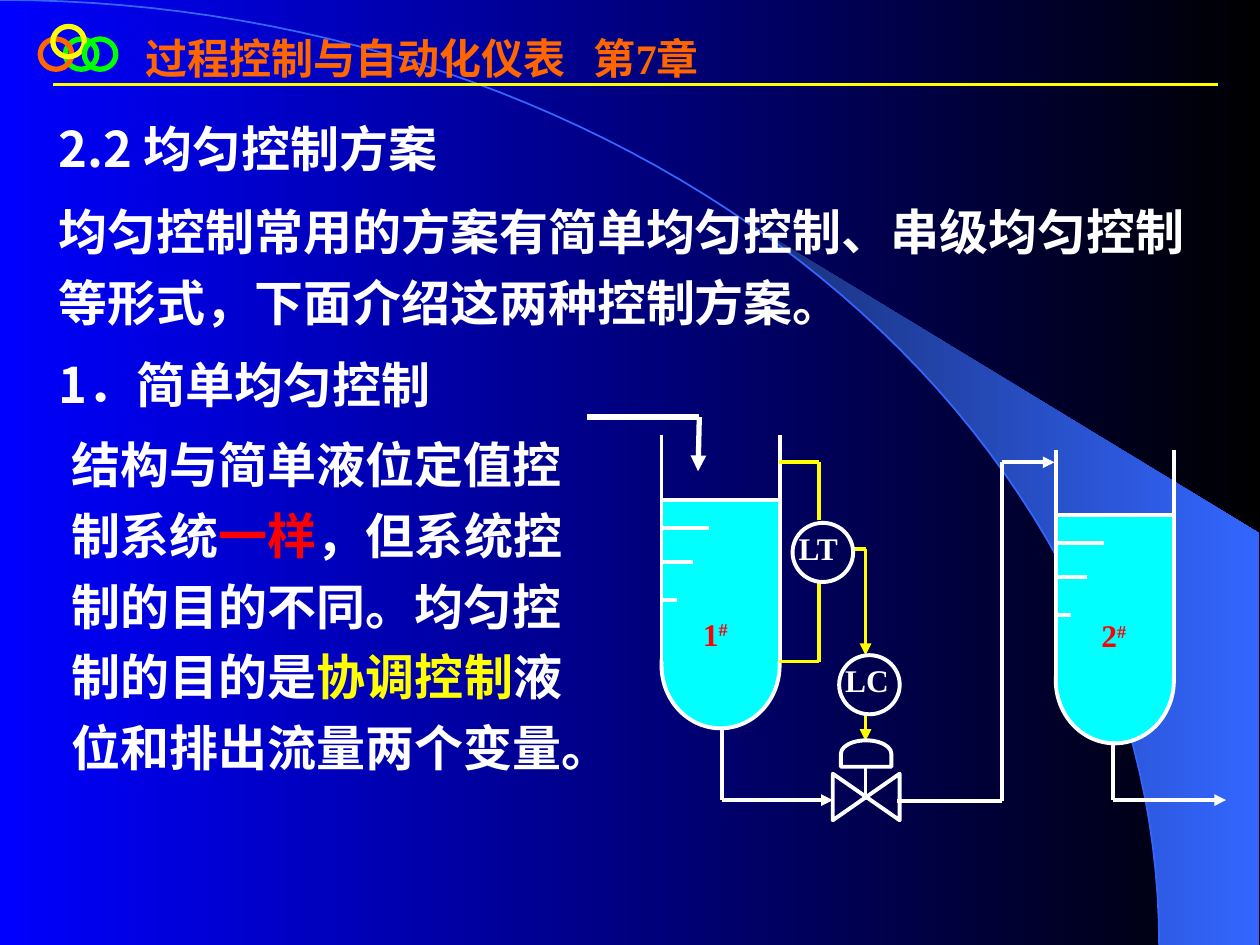
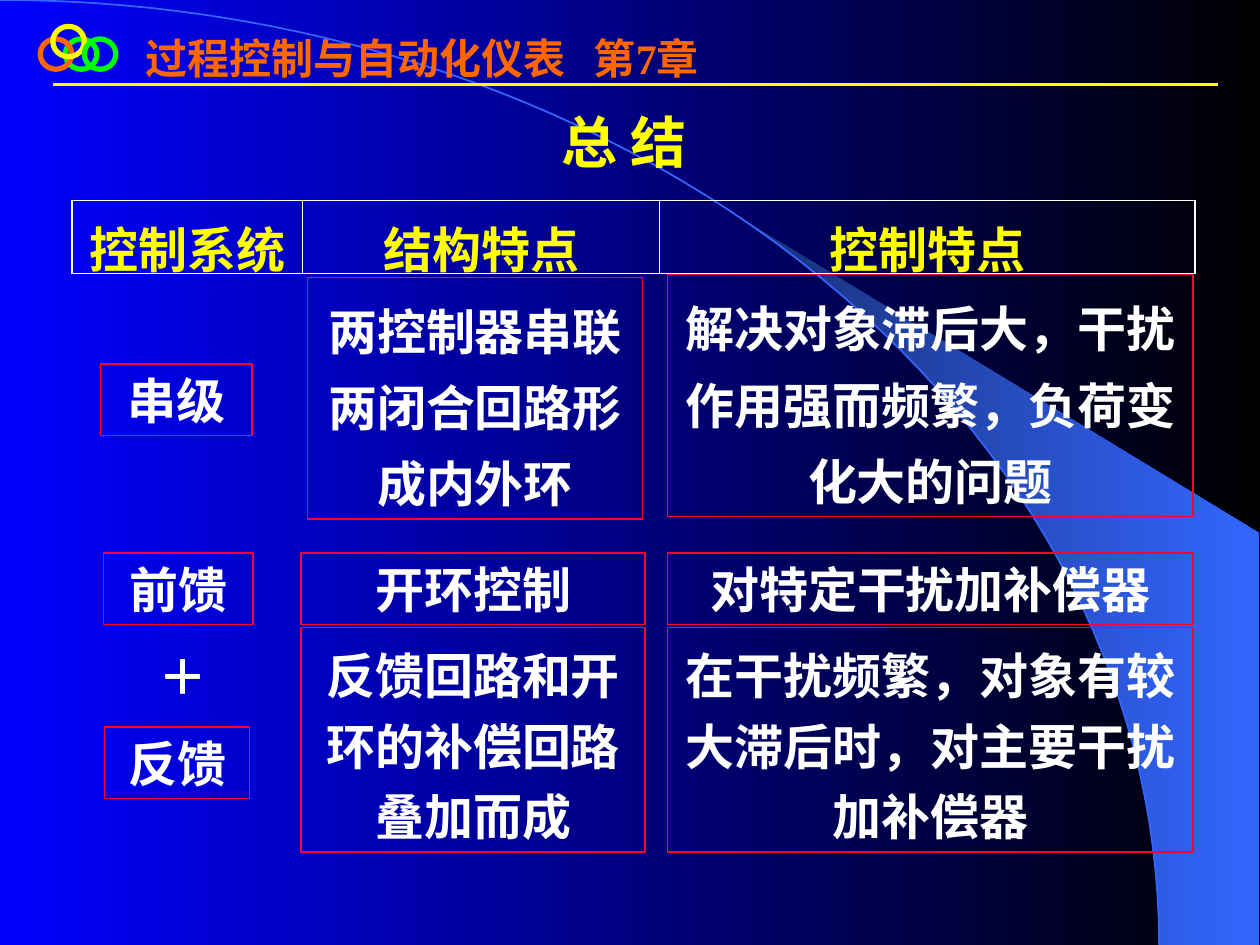
from math import asin, cos, pi, sin

from lxml.etree import SubElement
from pptx import Presentation
from pptx.dml.color import RGBColor as RGB
from pptx.enum.shapes import MSO_CONNECTOR as CONN, MSO_SHAPE as SHAPE
from pptx.enum.text import MSO_ANCHOR as ANCHOR, PP_ALIGN as ALIGN
from pptx.oxml.ns import qn
from pptx.util import Pt

C = {"blue": "0000FF", "black": "000000", "navy": "182F76", "sky": "3366FF",
     "white": "FFFFFF", "yellow": "FFFF00", "orange": "FF6600", "green": "00FF00",
     "red": "FF0000", "crimson": "FF0033", "cyan": "00FFFF"}
SERIF, SANS = "Times New Roman", "Noto Sans CJK SC"
W, H = 720, 540
BODY = {"size": Pt(28), "bold": True, "name": SERIF}
SMALL = {**BODY, "size": Pt(18)}
LOOSE = {"line_spacing": 1.2}
CENTER = {"alignment": ALIGN.CENTER}
JUSTIFY = {"alignment": ALIGN.JUSTIFY, **LOOSE}


def rgb(name):
    """Return the palette colour as an RGB value."""
    return RGB.from_string(C[name])


def apply(obj, values):
    """Set each attribute of obj from a dict."""
    for key, value in values.items():
        setattr(obj, key, value)


def add_run(p, text, font, color):
    """Append one formatted run to a paragraph."""
    r = p.add_run()
    r.text = text
    apply(r.font, font)
    r.font.color.rgb = rgb(color)
    SubElement(r.font._element, qn("a:ea")).set("typeface", SANS)
    return r


def add_text(s, box, text, font, color, fmt):
    """Add a wrapping text box with one paragraph and return its frame."""
    tf = s.shapes.add_textbox(*map(Pt, box)).text_frame
    tf.word_wrap = True
    p = tf.paragraphs[0]
    apply(p, fmt)
    add_run(p, text, font, color)
    return tf


def add_outline(s, kind, box, line="white", width=2.25, fill=None, rotation=0):
    """Add a preset shape with optional fill and outline."""
    sp = s.shapes.add_shape(kind, *map(Pt, box))
    sp.shadow.inherit = False
    sp.rotation = rotation
    if fill:
        sp.fill.solid()
        sp.fill.fore_color.rgb = rgb(fill)
    else:
        sp.fill.background()
    if line:
        sp.line.color.rgb = rgb(line)
        sp.line.width = Pt(width)
    else:
        sp.line.fill.background()
    return sp


def add_pipe(s, origin, points, color="white", width=2.25, arrow=False):
    """Join points with straight connectors, with an arrowhead at the end if asked."""
    ox, oy = origin
    for (x1, y1), (x2, y2) in zip(points, points[1:]):
        cx = s.shapes.add_connector(CONN.STRAIGHT, Pt(ox + x1), Pt(oy + y1),
                                    Pt(ox + x2), Pt(oy + y2))
        cx.line.color.rgb = rgb(color)
        cx.line.width = Pt(width)
        SubElement(cx._element.spPr, qn("a:effectLst"))
    if arrow:
        SubElement(cx.line._get_or_add_ln(), qn("a:tailEnd")).set("type", "triangle")


def set_gradient(fill, first, last):
    """Give a fill a two-colour gradient from left to right."""
    fill.gradient()
    fill.gradient_angle = 0
    for stop, name in zip(fill.gradient_stops, (first, last)):
        stop.color.rgb = rgb(name)


def add_freeform(s, points, close):
    """Add an outline through points."""
    pts = [(Pt(x), Pt(y)) for x, y in points]
    fb = s.shapes.build_freeform(*pts[0], scale=1.0)
    fb.add_line_segments(pts[1:], close=close)
    sp = fb.convert_to_shape()
    sp.shadow.inherit = False
    return sp


def add_backdrop(s, w, h):
    """Paint the gradient background, the lit wedge and the arc."""
    def arc(start, steps=60):
        angles = [start + (pi / 2 - start) * i / steps for i in range(steps + 1)]
        return [(0.92 * w * sin(a), h * (1 - cos(a))) for a in angles]

    set_gradient(s.background.fill, "blue", "black")
    wedge = add_freeform(s, arc(asin(0.64)) + [(w - 0.7, h), (w - 0.7, 304.6)], True)
    set_gradient(wedge.fill, "navy", "sky")
    wedge.line.fill.background()
    curve = add_freeform(s, arc(0), False)
    curve.fill.background()
    curve.line.color.rgb = rgb("sky")
    curve.line.width = Pt(1)


def add_header(s, x, y):
    """Add the rings, course title and rule."""
    add_pipe(s, (x, y), [(7.2, 33.1), (673.2, 33.1)], "yellow", 1.5)
    tf = add_text(s, (x + 53.3, y, 606.2, 36), "过程控制与自动化仪表\t第7章",
                  {**BODY, "size": Pt(24)}, "orange", {})
    tabs = SubElement(tf.paragraphs[0]._p.get_or_add_pPr(), qn("a:tabLst"))
    tab = SubElement(tabs, qn("a:tab"))
    tab.set("pos", str(Pt(256)))
    tab.set("algn", "l")
    for dx, dy, color in ((14.4, 7.2, "green"), (0, 7.2, "orange"),
                          (7.2, 0, "yellow"), (25.2, 7.2, "green")):
        add_outline(s, SHAPE.OVAL, (x + dx, y + dy, 18, 17.3), color, 3)


def new_slide(prs):
    """Add a blank slide with the shared backdrop and header."""
    s = prs.slides.add_slide(prs.slide_layouts[6])
    add_backdrop(s, W, H)
    add_header(s, 23, 15.1)
    return s


def add_tank(s, x, y, number, label_dx, label_dy):
    """Draw an open tank with liquid, level marks and its number."""
    w, level, wall = 67.5, 37.4, 130.3
    add_outline(s, SHAPE.OVAL, (x, y + 95.8, w, 72), fill="cyan")
    add_outline(s, SHAPE.RECTANGLE, (x - 0.7, y + level + 1, w + 0.7, 91.4), None, fill="cyan")
    for side in (0, w):
        add_pipe(s, (x, y), [(side, 0), (side, wall)])
    for drop, length in ((0, w), (15.8, 27.4), (35.3, 18), (56.9, 8.6)):
        add_pipe(s, (x, y + level + drop), [(0.7, 0), (length, 0)])
    tf = add_text(s, (x + label_dx, y + label_dy, 49, 45.4), number, SMALL, "red", JUSTIFY)
    r = add_run(tf.paragraphs[0], "#", SMALL, "red")
    r.font._element.set("baseline", "30000")


def add_instrument(s, x, y, name):
    """Draw a named instrument circle."""
    add_outline(s, SHAPE.OVAL, (x, y, 34.6, 33.8))
    add_text(s, (x - 3.6, y - 4.3, 49, 28.8), name, SMALL, "white", JUSTIFY)


def add_diagram(s, x, y):
    """Draw the two-tank level control loop."""
    o = (x, y)
    add_tank(s, x + 42.5, y + 10.1, "1", 16.6, 95)
    add_tank(s, x + 267.8, y + 18.7, "2", 18.9, 87.2)
    add_pipe(s, o, [(0, 0), (64.1, 0), (63.4, 31)], width=3, arrow=True)
    add_pipe(s, o, [(77, 177.5), (77, 218.9), (140.4, 218.9)], arrow=True)
    add_pipe(s, o, [(177.1, 219.6), (236.9, 219.6), (236.9, 25.9), (267.1, 25.9)], arrow=True)
    add_pipe(s, o, [(300.3, 185.1), (300.3, 218.9), (365.1, 218.9)], arrow=True)
    add_pipe(s, o, [(109.5, 25.9), (132.5, 25.9), (132.5, 59.1)], "yellow")
    add_pipe(s, o, [(109.5, 139.7), (132.5, 139.7), (132.5, 94.3)], "yellow")
    add_pipe(s, o, [(151.9, 75.6), (159.1, 75.6), (159.1, 136.1)], "yellow", arrow=True)
    add_pipe(s, o, [(159.1, 169.9), (159.1, 185.1)], "yellow", arrow=True)
    add_outline(s, SHAPE.FLOWCHART_COLLATE, (x + 146.2, y + 198, 26.6, 38.2), rotation=270)
    add_outline(s, SHAPE.FLOWCHART_DELAY, (x + 151.9, y + 177.9, 15.1, 28.8), rotation=270)
    add_pipe(s, o, [(159.1, 200.2), (159.1, 218.9)])
    add_instrument(s, x + 117.4, y + 60.5, "LT")
    add_instrument(s, x + 144, y + 136.1, "LC")


def add_intro(s, x, y):
    """Add the section heading, its introduction and the first item."""
    sans = {**BODY, "name": SANS}
    tf = add_text(s, (x, y, 666, 182.9), "2.2 均匀控制方案", sans, "white", LOOSE)
    for text, font in (
            ("均匀控制常用的方案有简单均匀控制、串级均匀控制等形式，下面介绍这两种控制方案。", BODY),
            ("1．简单均匀控制", sans)):
        p = tf.add_paragraph()
        apply(p, {**LOOSE, "space_before": Pt(7)})
        add_run(p, text, font, "white")


def add_explanation(s, x, y):
    """Add the justified note beside the diagram."""
    tf = add_text(s, (x, y, 294.5, 249.1), "结构与简单液位定值控制系统", BODY, "white", JUSTIFY)
    for text, color in (("一样", "red"), ("，但系统控制的目的不同。均匀控制的目的是", "white"),
                        ("协调控制", "yellow"), ("液位和排出流量两个变量。", "white")):
        add_run(tf.paragraphs[0], text, BODY, color)


def add_border(cell, side, width):
    """Add a white border to one side of a cell."""
    ln = SubElement(cell._tc.get_or_add_tcPr(), qn("a:ln" + side))
    ln.set("w", str(Pt(width)))
    SubElement(SubElement(ln, qn("a:solidFill")), qn("a:srgbClr")).set("val", C["white"])


def add_heading_table(s, x, y):
    """Add the one-row table of column headings."""
    heads, widths = ("控制系统", "结构特点", "控制特点"), (132, 204, 306)
    tbl = s.shapes.add_table(1, 3, Pt(x), Pt(y), Pt(sum(widths)), Pt(41.8)).table
    apply(tbl, {"first_row": False, "horz_banding": False})
    tbl.rows[0].height = Pt(41.8)
    for i, (head, width) in enumerate(zip(heads, widths)):
        tbl.columns[i].width = Pt(width)
        cell = tbl.cell(0, i)
        for side, thick in (("L", i == 0), ("R", i == 2), ("T", True), ("B", True)):
            add_border(cell, side, 1.08 if thick else 0.45)
        cell.fill.background()
        apply(cell, {"margin_top": Pt(6.5), "margin_bottom": Pt(1)})
        p = cell.text_frame.paragraphs[0]
        apply(p, CENTER)
        add_run(p, head, BODY, "yellow")


def add_comparison(s, x, y):
    """Add the framed cells that compare the control systems."""
    cells = (
        (0, 51.1, 86.4, 41, 1, "串级"),
        (118.1, 1.4, 191.5, 138.2, 1.3, "两控制器串联两闭合回路形成内外环"),
        (324, 0, 300.2, 138.2, 1.3, "解决对象滞后大，干扰作用强而频繁，负荷变化大的问题"),
        (1.4, 159.1, 85.7, 41, 1, "前馈"),
        (114.5, 159.1, 196.6, 41, 1, "开环控制"),
        (324, 159.1, 300.2, 41, 1, "对特定干扰加补偿器"),
        (2.2, 258.4, 82.8, 41, 1, "反馈"),
        (114.5, 201.6, 196.6, 128.2, 1.2, "反馈回路和开环的补偿回路叠加而成"),
        (324, 201.6, 300.2, 128.2, 1.2, "在干扰频繁，对象有较大滞后时，对主要干扰加补偿器"),
    )
    for dx, dy, w, h, spacing, text in cells:
        sp = add_outline(s, SHAPE.RECTANGLE, (x + dx, y + dy, w, h), "crimson", 0.75)
        tf = sp.text_frame
        apply(tf, {"word_wrap": True, "vertical_anchor": ANCHOR.TOP})
        p = tf.paragraphs[0]
        apply(p, {**CENTER, "line_spacing": spacing})
        add_run(p, text, BODY, "white")
    add_text(s, (x + 25.2, y + 208.8, 43.2, 41), "＋", BODY, "white", CENTER)


def build_scheme_slide(prs):
    """Build the slide on the simple averaging control scheme."""
    s = new_slide(prs)
    add_intro(s, 26.6, 57.6)
    add_diagram(s, 335.5, 238.3)
    add_explanation(s, 33.8, 238.3)


def build_summary_slide(prs):
    """Build the summary slide."""
    s = new_slide(prs)
    add_heading_table(s, 41, 114.5)
    add_comparison(s, 57.6, 157)
    add_text(s, (313.9, 50.4, 106.6, 53.3), "总 结",
             {**BODY, "size": Pt(32), "name": SANS}, "yellow", LOOSE)


def main():
    """Build and save the presentation."""
    prs = Presentation()
    apply(prs, {"slide_width": Pt(W), "slide_height": Pt(H)})
    build_scheme_slide(prs)
    build_summary_slide(prs)
    prs.save("out.pptx")


if __name__ == "__main__":
    main()
